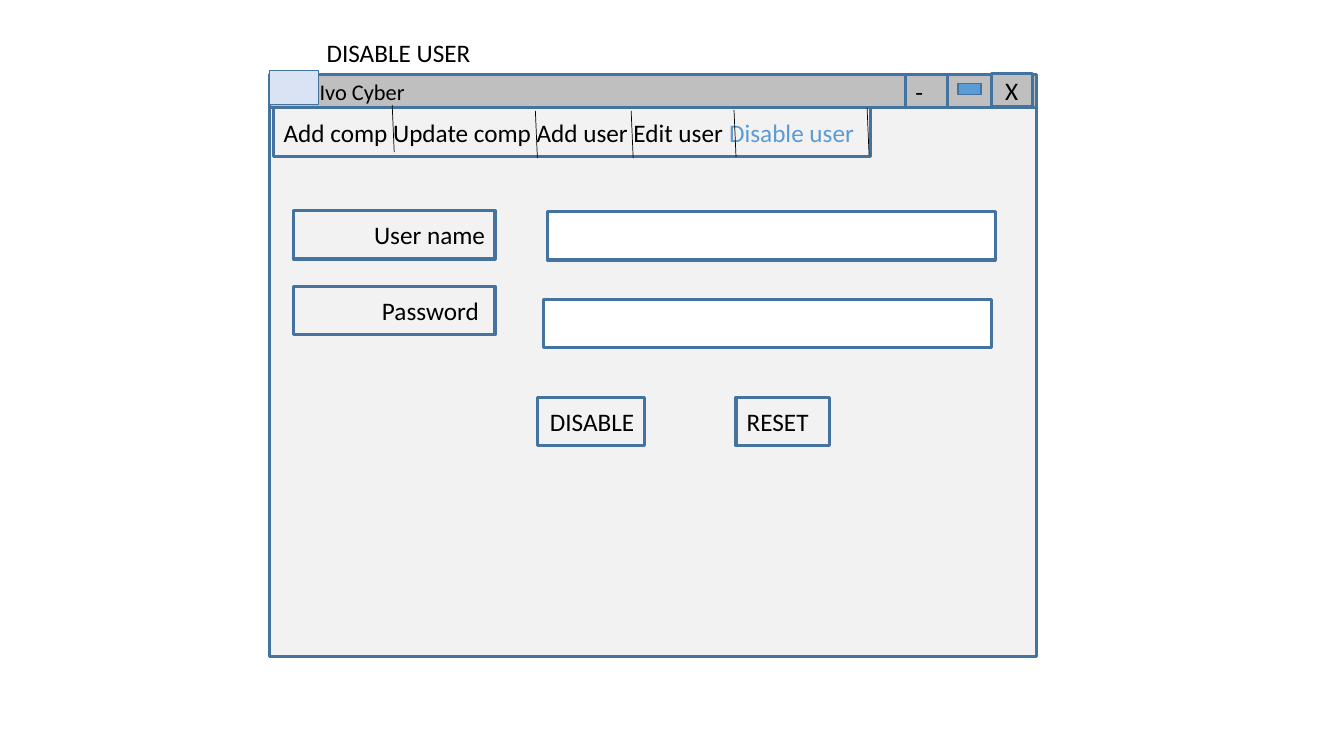
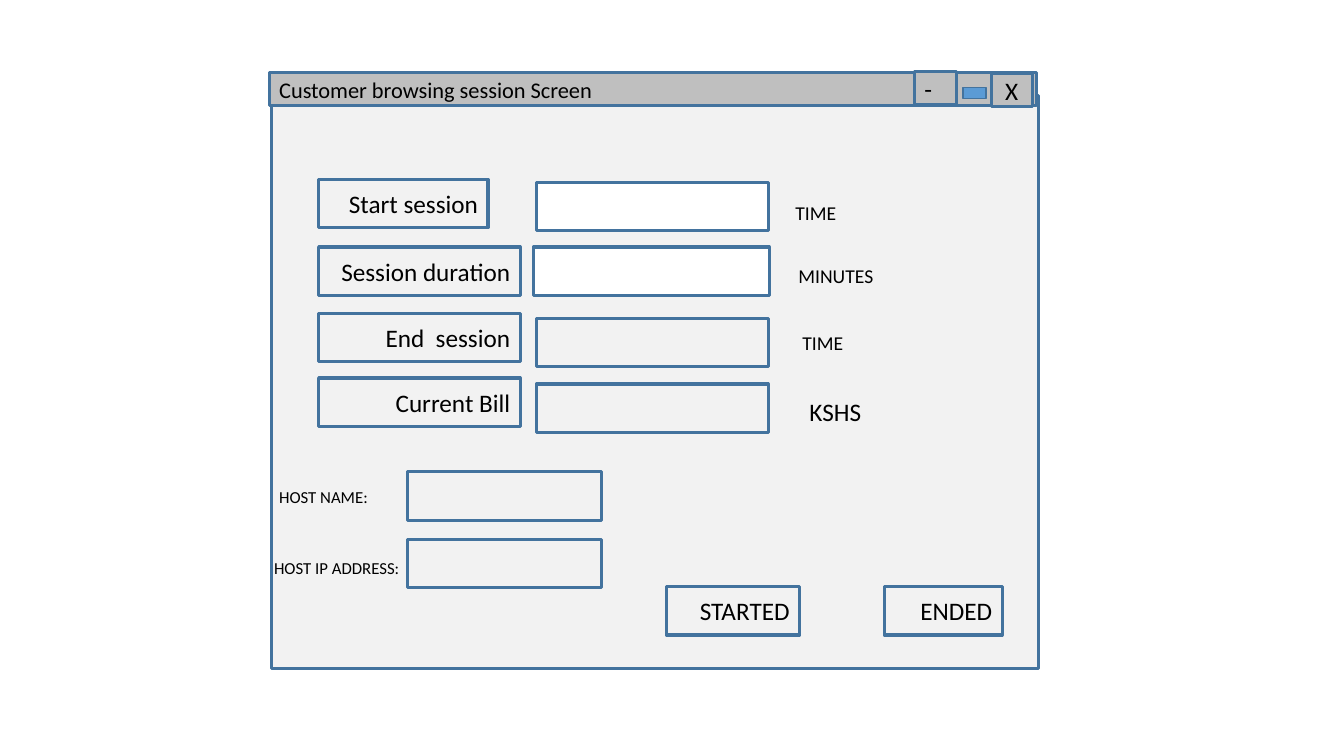
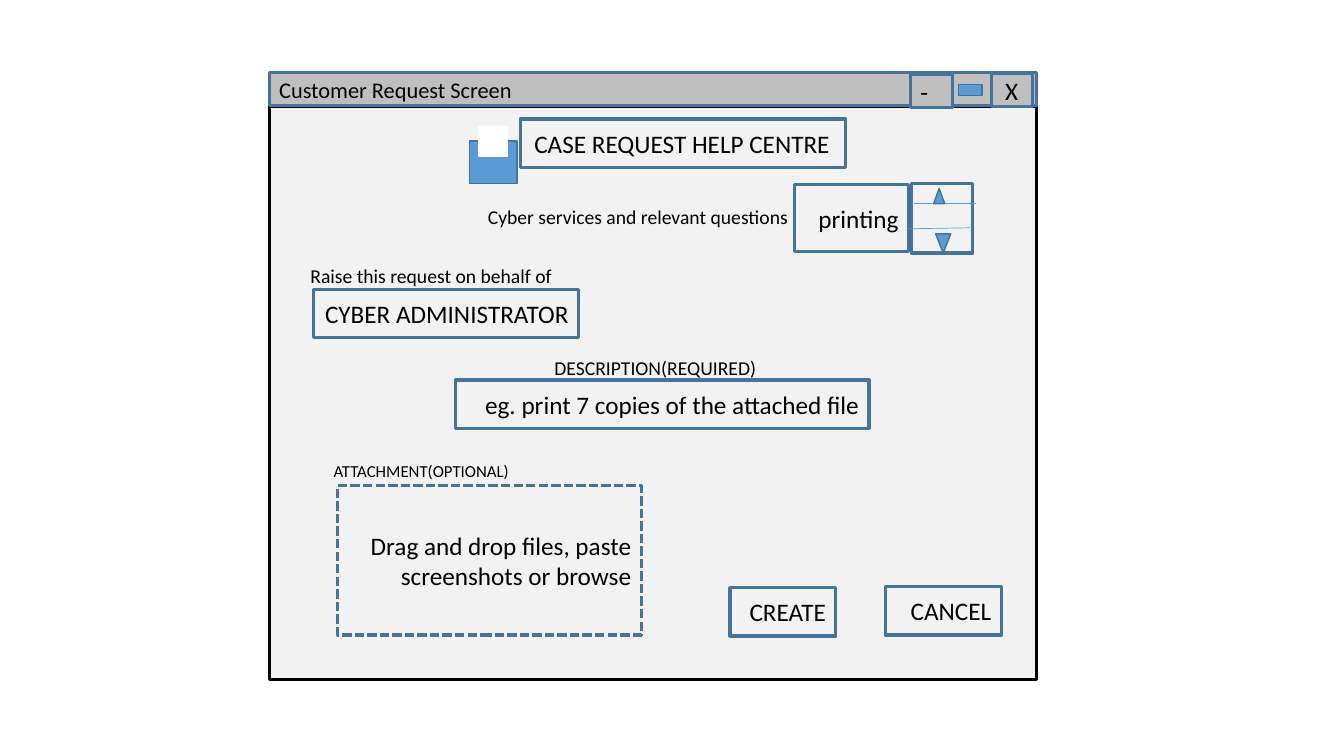
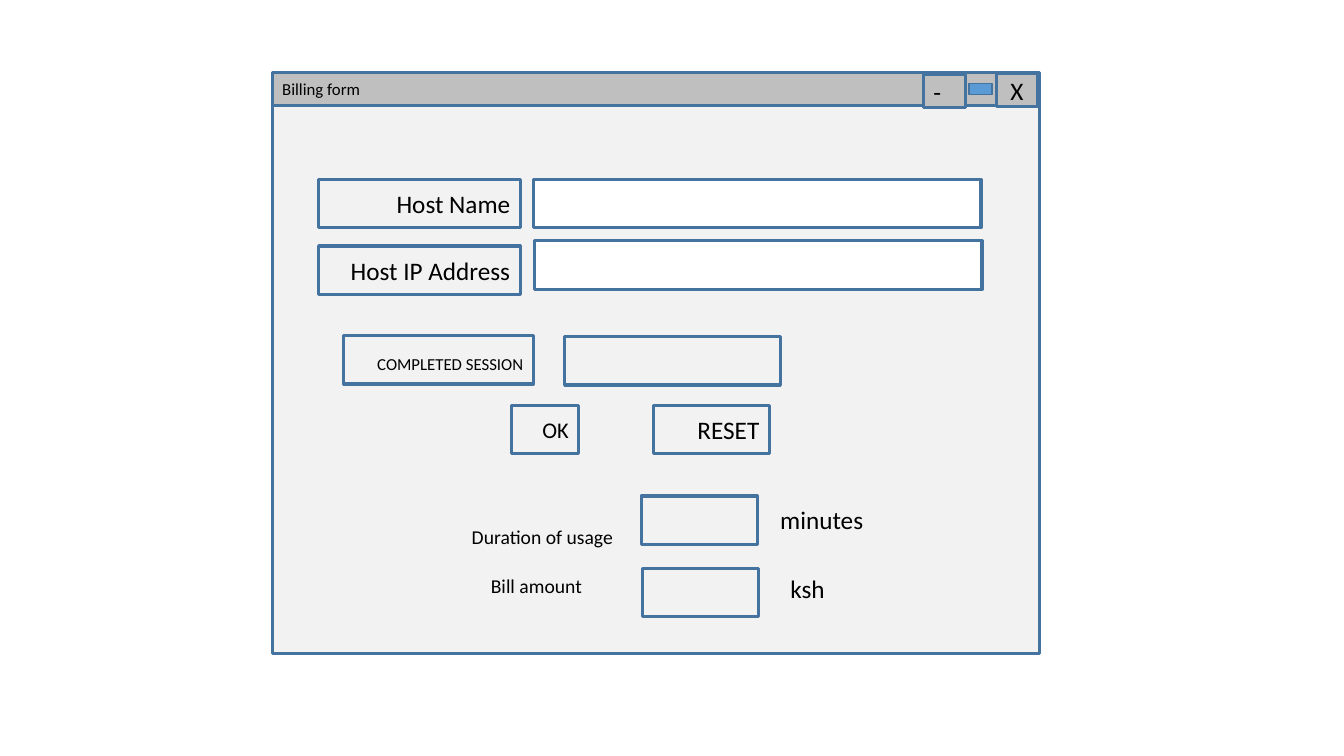
from pptx import Presentation
from pptx.dml.color import RGBColor
from pptx.enum import dml, shapes, text
from pptx.oxml import ns
from pptx.util import Inches, Pt
from lxml import etree

COLORS = {
    "panel": "F2F2F2", "bar": "BFBFBF", "outline": "43739E", "accent": "5B9BD5",
    "icon": "DAE3F3", "white": "FFFFFF", "ink": "000000",
}
FONT = "Calibri"
FIELD_HEIGHT = 0.48
LABEL_HEIGHTS = {12: 0.3, 14: 0.34, 18: 0.4}
ALIGN = {"left": text.PP_ALIGN.LEFT, "center": text.PP_ALIGN.CENTER, "right": text.PP_ALIGN.RIGHT}


def color(name):
    return RGBColor.from_string(COLORS[name])


def write(box, words, size=18, align="left", middle=True,
          pad_left=0.1, pad_right=0.1, pad_top=0.05):
    frame = box.text_frame
    frame.word_wrap = True
    frame.vertical_anchor = text.MSO_ANCHOR.MIDDLE if middle else text.MSO_ANCHOR.TOP
    frame.margin_left, frame.margin_right = Inches(pad_left), Inches(pad_right)
    frame.margin_top, frame.margin_bottom = Inches(pad_top), Inches(0.05)
    para = frame.paragraphs[0]
    para.alignment = ALIGN[align]
    runs = [(words, "ink")] if isinstance(words, str) else words
    for part, ink in runs:
        span = para.add_run()
        span.text = part
        span.font.name, span.font.size = FONT, Pt(size)
        span.font.color.rgb = color(ink)


def draw(page, left, top, width, height, fill="panel", line="outline", weight=2.25,
         kind=shapes.MSO_SHAPE.RECTANGLE):
    box = page.shapes.add_shape(kind, Inches(left), Inches(top), Inches(width), Inches(height))
    box.shadow.inherit = False
    box.fill.solid()
    box.fill.fore_color.rgb = color(fill)
    box.line.color.rgb = color(line)
    box.line.width = Pt(weight)
    return box


def field(page, left, top, width, words=None, height=FIELD_HEIGHT, fill="panel", **style):
    box = draw(page, left, top, width, height, fill)
    if words:
        write(box, words, align="right", pad_left=0.02, **style)
    return box


def label(page, left, top, width, words, size=14):
    box = page.shapes.add_textbox(Inches(left), Inches(top), Inches(width),
                                  Inches(LABEL_HEIGHTS[size]))
    write(box, words, size, middle=False)


def rule(page, start, end, ink):
    line = page.shapes.add_connector(shapes.MSO_CONNECTOR.STRAIGHT,
                                     *map(Inches, start + end))
    line.line.color.rgb = color(ink)
    line.line.width = Pt(0.5)
    etree.SubElement(line._element.spPr, ns.qn("a:effectLst"))


def window(deck, title, minimize, restore, body=(2.67, 0.83), bar=(2.67, 0.72), close=9.83,
           border="outline", size=16, indent=0.1):
    page = deck.slides.add_slide(deck.slide_layouts[6])
    draw(page, *body, 7.61, 5.68, line=border)
    write(draw(page, *bar, 7.61, 0.33, "bar"), title, size, pad_left=indent)
    write(draw(page, close, 0.73, 0.41, 0.33, "bar"), "X", align="center")
    write(draw(page, *minimize, 0.42, 0.33, "bar"), "-")
    draw(page, *restore, 0.23, 0.11, "accent", weight=1)
    return page


def disable_user(deck):
    page = window(deck, "Ivo Cyber", (8.98, 0.74), (9.5, 0.83), bar=(2.67, 0.74), indent=0.5)
    tabs = [("Add comp Update comp Add user Edit user ", "ink"), ("Disable user", "accent")]
    field(page, 2.71, 1.07, 5.92, tabs, pad_right=0.16)
    for left, top in [(3.89, 1.04), (5.31, 1.1), (6.26, 1.1), (7.28, 1.09), (8.6, 1.07)]:
        rule(page, (left, top), (left + 0.02, top + 0.47), "ink")
    draw(page, 2.67, 0.7, 0.49, 0.34, "icon", weight=1)
    label(page, 3.14, 0.32, 4.58, "DISABLE USER", 18)
    field(page, 2.91, 2.09, 2, "User name")
    field(page, 2.91, 2.84, 2, "Password", pad_right=0.16)
    for left, top in [(5.43, 2.1), (5.39, 2.97)]:
        field(page, left, top, 4.44, fill="white")
    field(page, 5.33, 3.94, 1.06, "DISABLE")
    field(page, 7.3, 3.94, 0.93, "RESET", pad_right=0.21)


def browsing_session(deck):
    page = window(deck, "Customer browsing session Screen", (9.07, 0.71), (9.55, 0.87),
                  body=(2.69, 0.95))
    for top, width, name in [(1.78, 1.68, "Start session"), (2.45, 2, "Session duration"),
                             (3.11, 2, "End  session"), (3.75, 2, "Current Bill")]:
        field(page, 3.16, top, width, name)
    for left, top, width, fill in [(5.32, 1.81, 2.3, "white"), (5.29, 2.45, 2.34, "white"),
                                   (5.32, 3.16, 2.3, "panel"), (5.32, 3.81, 2.3, "panel"),
                                   (4.04, 4.68, 1.93, "panel"), (4.04, 5.35, 1.93, "panel")]:
        field(page, left, top, width, fill=fill)
    for left, top, unit, size in [(7.79, 1.94, "TIME", 14), (7.82, 2.57, "MINUTES", 14),
                                  (7.86, 3.23, "TIME", 14), (7.93, 3.88, "KSHS", 18)]:
        label(page, left, top, 1.6, unit, size)
    label(page, 2.67, 4.78, 1.73, "HOST NAME:", 12)
    label(page, 2.62, 5.48, 1.5, "HOST IP ADDRESS:", 12)
    field(page, 6.61, 5.82, 1.32, "STARTED")
    field(page, 8.77, 5.82, 1.17, "ENDED")


def customer_request(deck):
    page = window(deck, "Customer Request Screen", (9.03, 0.74), (9.51, 0.84),
                  body=(2.67, 1.06), border="ink")
    field(page, 5.16, 1.18, 3.23, "CASE REQUEST HELP CENTRE", pad_right=0.16)
    field(page, 7.24, 5.83, 1.05, "CREATE")
    field(page, 8.78, 5.82, 1.15, "CANCEL")
    drop_zone = field(page, 3.35, 4.82, 3.01, "Drag and drop files, paste screenshots or browse",
                      height=1.48)
    drop_zone.line.dash_style = dml.MSO_LINE.SQUARE_DOT
    field(page, 4.52, 3.77, 4.1, "eg. print 7 copies of the attached file")
    field(page, 7.88, 1.83, 1.13, "printing", height=0.67)
    field(page, 9.04, 1.82, 0.61, height=0.69)
    field(page, 3.11, 2.87, 2.63, "CYBER ADMINISTRATOR")
    label(page, 3.21, 4.52, 2.65, "ATTACHMENT(OPTIONAL)", 12)
    label(page, 2.98, 2.57, 2.92, "Raise this request on behalf of")
    label(page, 5.4, 3.48, 2.27, "DESCRIPTION(REQUIRED)")
    label(page, 4.74, 1.98, 3.26, "Cyber services and relevant questions")
    draw(page, 4.66, 1.4, 0.47, 0.42, "accent", weight=1)
    draw(page, 4.75, 1.26, 0.28, 0.29, "white", "white", 1)
    rule(page, (9.07, 2.02), (9.68, 2.02), "accent")
    rule(page, (9.01, 2.27), (9.62, 2.26), "accent")
    draw(page, 9.26, 1.87, 0.11, 0.15, "accent", weight=1,
         kind=shapes.MSO_SHAPE.ISOSCELES_TRIANGLE)
    draw(page, 9.28, 2.32, 0.15, 0.19, "accent", weight=1,
         kind=shapes.MSO_SHAPE.FLOWCHART_MERGE)


def billing_form(deck):
    page = window(deck, "Billing form", (9.16, 0.74), (9.61, 0.83), body=(2.7, 0.8),
                  bar=(2.7, 0.72), close=9.88, size=12)
    field(page, 3.16, 1.78, 2, "Host Name")
    field(page, 3.16, 2.44, 2, "Host IP Address")
    field(page, 3.41, 3.33, 1.88, "COMPLETED SESSION", size=12, pad_top=0.13)
    field(page, 5.07, 4.02, 0.67, "OK", size=16)
    field(page, 6.48, 4.02, 1.15, "RESET")
    for left, top, width, fill in [(5.29, 1.78, 4.44, "white"), (5.3, 2.39, 4.44, "white"),
                                   (5.6, 3.34, 2.14, "panel"), (6.36, 4.92, 1.15, "panel"),
                                   (6.37, 5.64, 1.15, "panel")]:
        field(page, left, top, width, fill=fill)
    label(page, 4.58, 5.16, 1.65, "Duration of usage")
    label(page, 4.77, 5.64, 1.46, "Bill amount")
    label(page, 7.64, 4.95, 1.61, "minutes", 18)
    label(page, 7.74, 5.64, 1.98, "ksh", 18)


def main():
    deck = Presentation()
    deck.slide_width, deck.slide_height = Inches(13.33), Inches(7.5)
    for build in (disable_user, browsing_session, customer_request, billing_form):
        build(deck)
    deck.save("out.pptx")


main()
